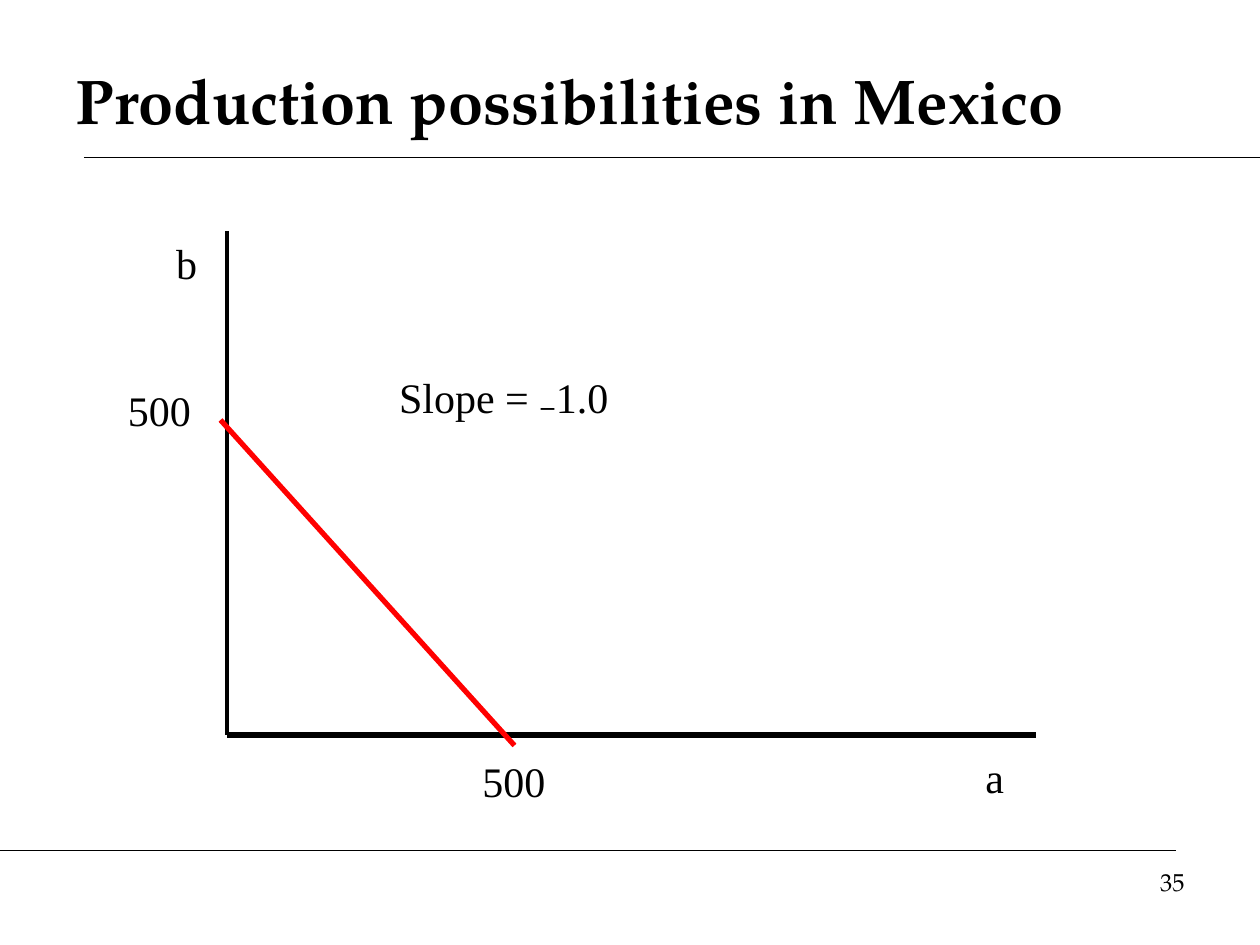
"""Build the slide on production possibilities in Mexico."""
import pptx
import pptx.dml.color
import pptx.enum.shapes
import pptx.enum.text
import pptx.oxml
import pptx.oxml.ns
import pptx.util

Pt = pptx.util.Pt
RGB = pptx.dml.color.RGBColor
ALIGN = pptx.enum.text.PP_ALIGN
ANCHOR = pptx.enum.text.MSO_ANCHOR
AUTO = pptx.enum.text.MSO_AUTO_SIZE

THEME = {
    "ink": RGB(0, 0, 0),
    "frontier": RGB(255, 0, 0),
    "display": "TeX Gyre Pagella",
    "body": "Times New Roman",
    "title_size": 36,
    "label_size": 24,
    "page_size": 14,
}
WIDTH, HEIGHT = 720, 540
RULE_INSET = 48
ORIGIN = (129.6, 420)
LABEL_HEIGHT = 36
LABEL_SPACE = 3

TITLE = "Production possibilities in Mexico"
TITLE_BOX = (36, 24, 648, 66)
PAGE = "35"
PAGE_BOX = (516, 492, 168, 37.2)

RULES = [
    ((RULE_INSET, 90), (WIDTH, 90), 0.75, "ink"),
    ((0, 486), (WIDTH - RULE_INSET, 486), 0.75, "ink"),
]
GRAPH = [
    ((ORIGIN[0], 132), ORIGIN, 2.25, "ink"),
    (ORIGIN, (592, 420), 3, "ink"),
    ((126, 240), (294, 426), 3, "frontier"),
]
LABELS = [
    ([("b", "body")], 93.6, 132, 30),
    ([("a", "body")], 556, 426, 36),
    ([("500", "body")], 268.6, 428.4, 85),
    ([("500", "body")], 66, 216, 75.6),
    ([("Slope = ", "body"), ("₋", "display"), ("1.0", "body")], 221, 208.8, 252),
]


def style(font, face, size, bold=False):
    font.name = THEME[face]
    font.size = Pt(THEME[size])
    font.bold = bold
    font.color.rgb = THEME["ink"]


def add_line(slide, start, end, weight, color):
    straight = pptx.enum.shapes.MSO_CONNECTOR.STRAIGHT
    line = slide.shapes.add_connector(straight, *map(Pt, start + end))
    line.line.width = Pt(weight)
    line.line.color.rgb = THEME[color]
    sp_pr = line._element.spPr
    sp_pr.append(pptx.oxml.parse_xml(f'<a:effectLst {pptx.oxml.ns.nsdecls("a")}/>'))


def add_text(slide, box):
    tf = slide.shapes.add_textbox(*map(Pt, box)).text_frame
    tf.word_wrap = True
    return tf


def add_title(slide):
    sp = slide.shapes.title
    sp.left, sp.top, sp.width, sp.height = map(Pt, TITLE_BOX)
    tf = sp.text_frame
    tf.text = TITLE
    tf.auto_size = AUTO.NONE
    tf.vertical_anchor = ANCHOR.MIDDLE
    p = tf.paragraphs[0]
    p.alignment = ALIGN.LEFT
    style(p.font, "display", "title_size", bold=True)


def add_label(slide, runs, left, top, width):
    tf = add_text(slide, (left, top, width, LABEL_HEIGHT))
    tf.auto_size = AUTO.SHAPE_TO_FIT_TEXT
    p = tf.paragraphs[0]
    p.space_before = Pt(LABEL_SPACE)
    for text, face in runs:
        r = p.add_run()
        r.text = text
        style(r.font, face, "label_size")


def add_page_number(slide):
    tf = add_text(slide, PAGE_BOX)
    tf.text = PAGE
    p = tf.paragraphs[0]
    p.alignment = ALIGN.RIGHT
    style(p.font, "display", "page_size")


def main():
    prs = pptx.Presentation()
    prs.slide_width, prs.slide_height = Pt(WIDTH), Pt(HEIGHT)
    slide = prs.slides.add_slide(prs.slide_layouts[5])
    add_title(slide)
    for line in RULES + GRAPH:
        add_line(slide, *line)
    for label in LABELS:
        add_label(slide, *label)
    add_page_number(slide)
    prs.save("out.pptx")


if __name__ == "__main__":
    main()
